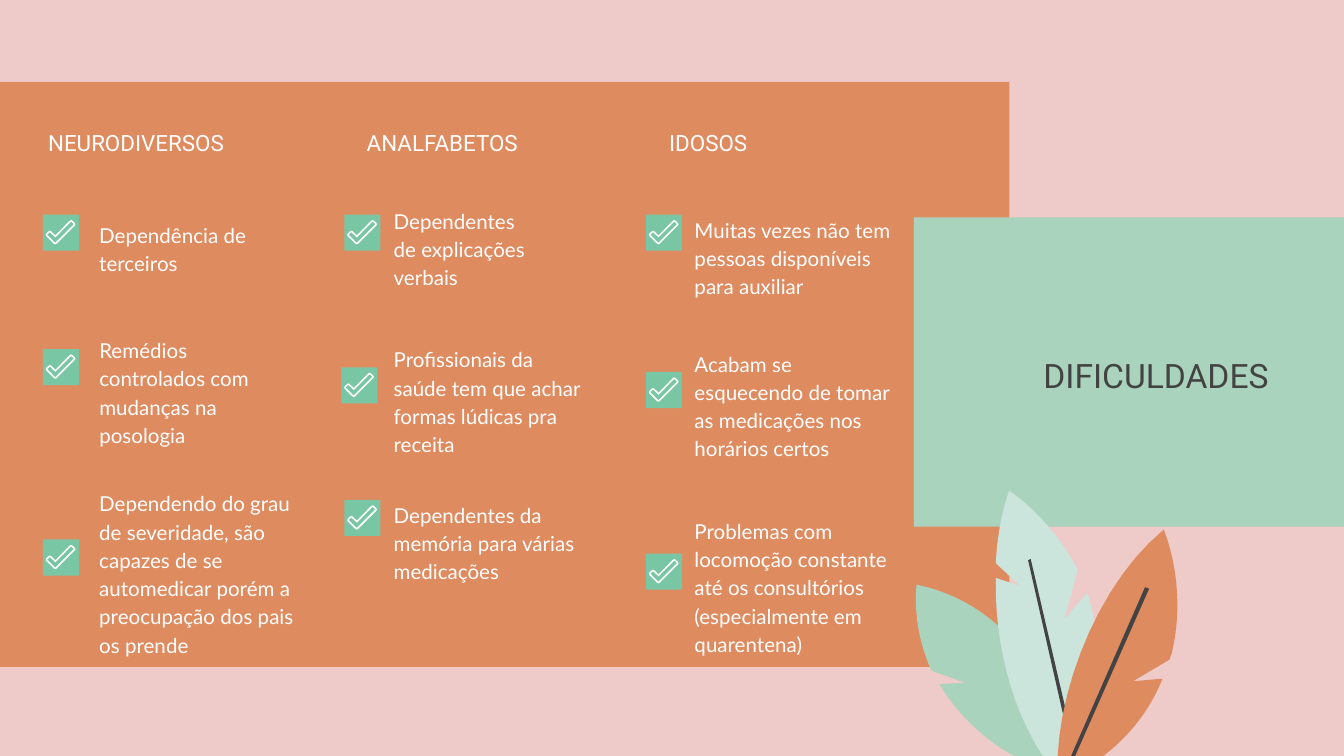
from dataclasses import dataclass

from pptx import Presentation
from pptx.dml.color import RGBColor
from pptx.enum.shapes import MSO_SHAPE
from pptx.enum.text import MSO_ANCHOR, PP_ALIGN
from pptx.util import Pt

PINK, ORANGE, MINT, PALE_MINT = "EECAC8", "DF8B60", "AAD3BD", "CBE5DD"
GREEN, DARK, WHITE = "79C6A5", "434343", "FFFFFF"
BOX_SIDE = 19.4
CURVE_STEPS = 12


@dataclass
class Item:
    text: str
    top: float
    check_top: float
    height: float = 28.8
    width: float = 120.2
    check_shift: float = 0


@dataclass
class Column:
    heading: str
    heading_left: float
    heading_width: float
    text_left: float
    check_left: float
    items: list[Item]


@dataclass
class Outline:
    """Start point, then points (x, y) for lines and 6-tuples for Bézier curves."""
    color: str
    start: tuple
    steps: list[tuple]


COLUMNS = [
    Column("NEURODIVERSOS", 18.7, 141.8, 46.1, 23, [
        Item("Dependência de terceiros", 110.2, 115),
        Item("Remédios controlados com mudanças na posologia", 160.6, 187,
             height=82.1, width=104.4),
        Item("Dependendo do grau de severidade, são capazes de se automedicar "
             "porém a preocupação dos pais os prende", 284.4, 289),
    ]),
    Column("ANALFABETOS", 189.4, 120.2, 203.8, 184.5, [
        Item("Dependentes de explicações verbais", 110.2, 115, width=90.7),
        Item("Profissionais da saúde tem que achar formas lúdicas pra receita",
             192.2, 196.8, check_shift=-1.6),
        Item("Dependentes da memória para várias medicações", 267.8, 267.8),
    ]),
    Column("IDOSOS", 351.4, 120.2, 365, 346.1, [
        Item("Muitas vezes não tem pessoas disponíveis para auxiliar", 115.2, 115),
        Item("Acabam se esquecendo de tomar as medicações nos horários certos",
             194.4, 199.3),
        Item("Problemas com locomoção constante até os consultórios "
             "(especialmente em quarentena)", 291.6, 296.6),
    ]),
]

PLANT = [
    Outline(MINT, (491, 313.2), [
        (511.9, 317.5, 531.4, 329, 544.3, 345.6),
        (558, 362.2, 565.2, 384.5, 564.5, 405), (543.6, 405),
        (529.2, 398.2, 511.9, 381.6, 503.3, 366.5), (517, 365.8), (499, 359.3),
        (492.5, 344.9, 489.6, 329, 491, 313.2)]),
    Outline(PALE_MINT, (540.7, 262.8), [
        (555.8, 273.6, 568.8, 288.7, 577.4, 305.3), (570.2, 331.9), (582.5, 317.5),
        (583.2, 319, 583.2, 320.4, 583.9, 322.6),
        (591.1, 347, 590.4, 382.3, 581, 405), (558.7, 405),
        (541.4, 378.7, 532.8, 343.4, 533.5, 309.6), (546.5, 313.9), (533.5, 301.7),
        (534.2, 288, 536.4, 275, 540.7, 262.8)]),
    Outline(DARK, (552.2, 299.5), [(576.7, 405), (574.6, 405), (550.8, 300.2)]),
    Outline(ORANGE, (623.5, 283.7), [
        (631.4, 304.6, 632.9, 328.3, 627.8, 349.9),
        (627.1, 351.4, 627.1, 352.1, 626.4, 353.5), (607, 365), (622.8, 363.6),
        (616.3, 380.2, 604.8, 394.6, 591.1, 405), (566.6, 405),
        (568.8, 362.9, 590.4, 311, 623.5, 283.7)]),
    Outline(DARK, (613.4, 314.6), [(615.6, 315.4), (576, 405), (573.8, 405)]),
]

# Outer and inner edge of the tick, measured from the corner of its box
TICK = [
    [(14.4, 3.2), (15.1, 2.9), (15.8, 3.2), (17.1, 4.5), (17.4, 5.1), (17.1, 5.8),
     (7.3, 15.6), (6.6, 15.9), (5.9, 15.6), (1.8, 11.5), (1.5, 10.8), (1.8, 10.1),
     (3.1, 8.9), (3.7, 8.6), (4.4, 8.9), (6.7, 11.1)],
    [(15.1, 3.7), (16.6, 5.1), (6.6, 15.1), (2.3, 10.8), (3.7, 9.4), (6.7, 12.2)],
]


def rgb(color: str) -> RGBColor:
    return RGBColor.from_string(color)


def paint(sp, color: str) -> None:
    sp.shadow.inherit = False
    sp.fill.solid()
    sp.fill.fore_color.rgb = rgb(color)
    sp.line.fill.background()


def add_rect(s, left: float, top: float, width: float, height: float, color: str) -> None:
    sp = s.shapes.add_shape(MSO_SHAPE.RECTANGLE, Pt(left), Pt(top), Pt(width), Pt(height))
    paint(sp, color)


def add_contours(s, contours: list[list[tuple]], color: str) -> None:
    """Fill closed contours; a contour inside another one cuts a hole."""
    contours = [[(Pt(x), Pt(y)) for x, y in contour] for contour in contours]
    builder = s.shapes.build_freeform(*contours[0][0])
    for i, (first, *rest) in enumerate(contours):
        if i:
            builder.move_to(*first)
        builder.add_line_segments(rest, close=True)
    paint(builder.convert_to_shape(), color)


def flatten(outline: Outline) -> list[tuple]:
    """Turn the curves of an outline into short straight lines."""
    points = [outline.start]
    for step in outline.steps:
        if len(step) == 2:
            points.append(step)
            continue
        controls = [points[-1], step[:2], step[2:4], step[4:]]
        for i in range(1, CURVE_STEPS + 1):
            t = i / CURVE_STEPS
            weights = ((1 - t) ** 3, 3 * t * (1 - t) ** 2, 3 * t * t * (1 - t), t ** 3)
            points.append(tuple(sum(w * c[axis] for w, c in zip(weights, controls))
                                for axis in (0, 1)))
    return points


def add_text(s, text: str, left: float, top: float, width: float, height: float,
             size: float, font: str, color: str = WHITE, anchor=MSO_ANCHOR.TOP,
             align=PP_ALIGN.LEFT, spacing: float = 1.15,
             inset_top: float = 7.2, inset_bottom: float = 7.2) -> None:
    tf = s.shapes.add_textbox(Pt(left), Pt(top), Pt(width), Pt(height)).text_frame
    tf.word_wrap = True
    tf.vertical_anchor = anchor
    tf.margin_left = tf.margin_right = Pt(7.2)
    tf.margin_top, tf.margin_bottom = Pt(inset_top), Pt(inset_bottom)
    tf.text = text
    p = tf.paragraphs[0]
    p.alignment = align
    p.line_spacing = spacing
    r = p.runs[0]
    r.font.size, r.font.name = Pt(size), font
    r.font.color.rgb = rgb(color)


def add_check(s, left: float, top: float) -> None:
    add_rect(s, left, top, BOX_SIDE, BOX_SIDE, GREEN)
    add_contours(s, [[(left + x, top + y) for x, y in edge] for edge in TICK], WHITE)


def add_column(s, column: Column) -> None:
    add_text(s, column.heading, column.heading_left, 59.8, column.heading_width, 28.8,
             12, "Roboto")
    for item in column.items:
        add_text(s, item.text, column.text_left, item.top, item.width, item.height,
                 11, "Lato", anchor=MSO_ANCHOR.MIDDLE, inset_top=15.8, inset_bottom=0)
        add_check(s, column.check_left + item.check_shift, item.check_top)


def main() -> None:
    prs = Presentation()
    prs.slide_width, prs.slide_height = Pt(720), Pt(405)
    s = prs.slides.add_slide(prs.slide_layouts[6])
    s.background.fill.solid()
    s.background.fill.fore_color.rgb = rgb(PINK)

    add_rect(s, 0, 43.9, 540.7, 313.4, ORANGE)
    add_rect(s, 489.6, 116.4, 230.4, 165.8, MINT)
    add_text(s, "DIFICULDADES", 545, 174.2, 141.8, 53.3, 18, "Roboto", DARK,
             MSO_ANCHOR.MIDDLE, PP_ALIGN.RIGHT, spacing=1.0)
    for outline in PLANT:
        add_contours(s, [flatten(outline)], outline.color)
    for column in COLUMNS:
        add_column(s, column)
    prs.save("out.pptx")


if __name__ == "__main__":
    main()
